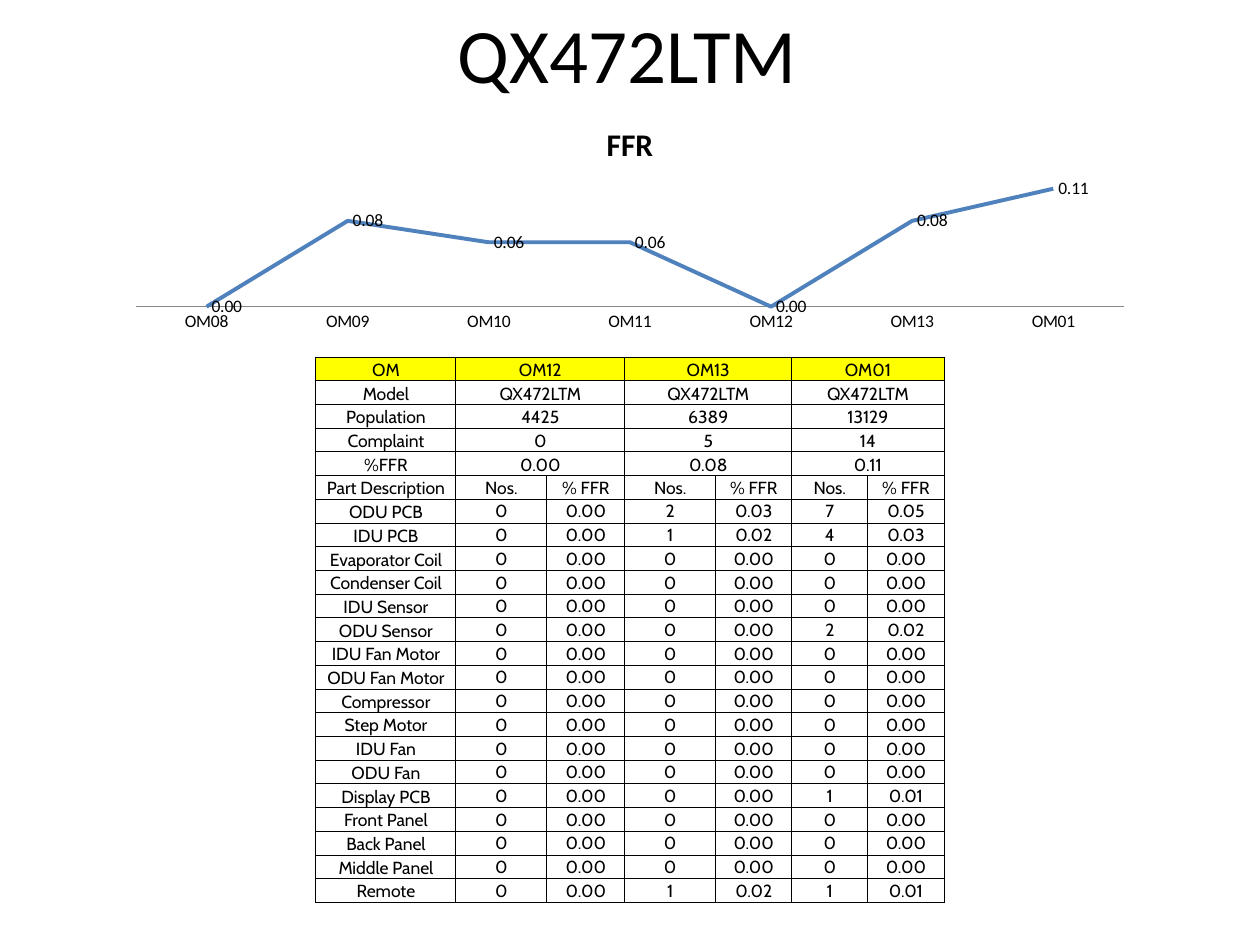
"""Build the QX472LTM slide: a line chart of monthly FFR above a table of part failures."""
import pptx
import pptx.chart.data
import pptx.dml.color
import pptx.enum.chart
import pptx.enum.text
import pptx.oxml
import pptx.oxml.ns
import pptx.util

Pt = pptx.util.Pt
BLACK = pptx.dml.color.RGBColor(0x00, 0x00, 0x00)
YELLOW = pptx.dml.color.RGBColor(0xFF, 0xFF, 0x00)
BLUE = pptx.dml.color.RGBColor(0x4F, 0x81, 0xBD)
GRAY = pptx.dml.color.RGBColor(0x86, 0x86, 0x86)
ANCHOR = pptx.enum.text.MSO_ANCHOR

MODEL = "QX472LTM"
MONTHS = ["OM12", "OM13", "OM01"]
POPULATIONS = [4425, 6389, 13129]
COMPLAINTS = [0, 5, 14]
PARTS = ["ODU PCB", "IDU PCB", "Evaporator Coil", "Condenser Coil", "IDU Sensor",
         "ODU Sensor", "IDU Fan Motor", "ODU Fan Motor", "Compressor", "Step Motor",
         "IDU Fan", "ODU Fan", "Display PCB", "Front Panel", "Back Panel",
         "Middle Panel", "Remote"]
FAILURES = {"ODU PCB": [0, 2, 7], "IDU PCB": [0, 1, 4], "ODU Sensor": [0, 0, 2],
            "Display PCB": [0, 0, 1], "Remote": [0, 1, 1]}
COLUMN_WIDTHS = [80, 52, 44.5, 52, 43.5, 43.5, 43.5]
ROW_HEIGHT = 13.55


def style_font(font, name, size, bold=False):
    font.name = name
    font.size = Pt(size)
    font.bold = bold
    font.color.rgb = BLACK


def fill_cell(cell, text, anchor, fill=None):
    cell.vertical_anchor = anchor
    cell.margin_left = cell.margin_right = cell.margin_top = Pt(0.7)
    cell.margin_bottom = Pt(0)
    para = cell.text_frame.paragraphs[0]
    para.alignment = pptx.enum.text.PP_ALIGN.CENTER
    span = para.add_run()
    span.text = text
    style_font(span.font, "Cabin", 10)
    if fill:
        cell.fill.solid()
        cell.fill.fore_color.rgb = fill


deck = pptx.Presentation()
deck.slide_width = Pt(720)
deck.slide_height = Pt(540)
page = deck.slides.add_slide(deck.slide_layouts[5])

title = page.shapes.title
title.left, title.top, title.width, title.height = Pt(34.5), Pt(12), Pt(648), Pt(36)
title.text_frame.vertical_anchor = ANCHOR.MIDDLE
title_para = title.text_frame.paragraphs[0]
title_para.alignment = pptx.enum.text.PP_ALIGN.CENTER
title_span = title_para.add_run()
title_span.text = MODEL
style_font(title_span.font, "Calibri", 44)

rows = [["OM"] + MONTHS,
        ["Model"] + [MODEL] * 3,
        ["Population"] + [str(population) for population in POPULATIONS],
        ["Complaint"] + [str(complaint) for complaint in COMPLAINTS],
        ["%FFR"] + [f"{100 * c / p:.2f}" for c, p in zip(COMPLAINTS, POPULATIONS)],
        ["Part Description"] + ["Nos.", "% FFR"] * 3]
summary_count = len(rows) - 1
for part in PARTS:
    row = [part]
    for count, population in zip(FAILURES.get(part, [0, 0, 0]), POPULATIONS):
        row += [str(count), f"{100 * count / population:.2f}"]
    rows.append(row)

table = page.shapes.add_table(len(rows), len(COLUMN_WIDTHS), Pt(180.5), Pt(204),
                              Pt(sum(COLUMN_WIDTHS)), Pt(ROW_HEIGHT * len(rows))).table
table.first_row = False
table.horz_banding = False
for column, width in zip(table.columns, COLUMN_WIDTHS):
    column.width = Pt(width)
for row_index, row in enumerate(rows):
    table.rows[row_index].height = Pt(ROW_HEIGHT)
    is_summary = row_index < summary_count
    if is_summary:
        for left in (1, 3, 5):
            table.cell(row_index, left).merge(table.cell(row_index, left + 1))
    for index, text in enumerate(row):
        column_index = 2 * index - 1 if is_summary and index else index
        is_count = row_index > summary_count and index > 0
        fill_cell(table.cell(row_index, column_index), text,
                  ANCHOR.MIDDLE if is_count else ANCHOR.BOTTOM,
                  YELLOW if row_index == 0 else None)

for cell in table.iter_cells():
    if cell.fill.type is None:
        cell.fill.background()
    properties = cell.fill._xPr
    for position, side in enumerate(("lnL", "lnR", "lnT", "lnB")):
        border = pptx.oxml.parse_xml(
            f'<a:{side} {pptx.oxml.ns.nsdecls("a")} w="{Pt(0.5)}"><a:solidFill>'
            f'<a:srgbClr val="{BLACK}"/></a:solidFill></a:{side}>')
        properties.insert(position, border)

chart_data = pptx.chart.data.CategoryChartData(number_format="0.00")
chart_data.categories = ["OM08", "OM09", "OM10", "OM11", "OM12", "OM13", "OM01"]
chart_data.add_series("Series 1", [0, 0.08, 0.06, 0.06, 0, 0.08, 0.11])
chart = page.shapes.add_chart(pptx.enum.chart.XL_CHART_TYPE.LINE, Pt(66), Pt(60),
                              Pt(588), Pt(132), chart_data).chart
style_font(chart.font, "Calibri", 10)
chart.has_legend = False
chart.has_title = True
chart_title = chart.chart_title.text_frame.paragraphs[0].add_run()
chart_title.text = "FFR"
style_font(chart_title.font, "Calibri", 18, bold=True)
chart.chart_title.include_in_layout = False

chart.value_axis.visible = False
chart.value_axis.has_major_gridlines = False
chart.value_axis.minimum_scale = 0
chart.value_axis.maximum_scale = 0.12
chart.category_axis.major_tick_mark = pptx.enum.chart.XL_TICK_MARK.NONE
chart.category_axis.format.line.color.rgb = GRAY
chart.category_axis.format.line.width = Pt(0.75)

plot = chart.plots[0]
plot.vary_by_categories = False
series = plot.series[0]
series.smooth = False
series.marker.style = pptx.enum.chart.XL_MARKER_STYLE.NONE
series.format.line.color.rgb = BLUE
series.format.line.width = Pt(2.25)
labels = series.data_labels
labels.show_value = True
labels.number_format = "0.00"
labels.number_format_is_linked = False
labels.position = pptx.enum.chart.XL_LABEL_POSITION.RIGHT
style_font(labels.font, "Calibri", 10)

deck.save("out.pptx")
